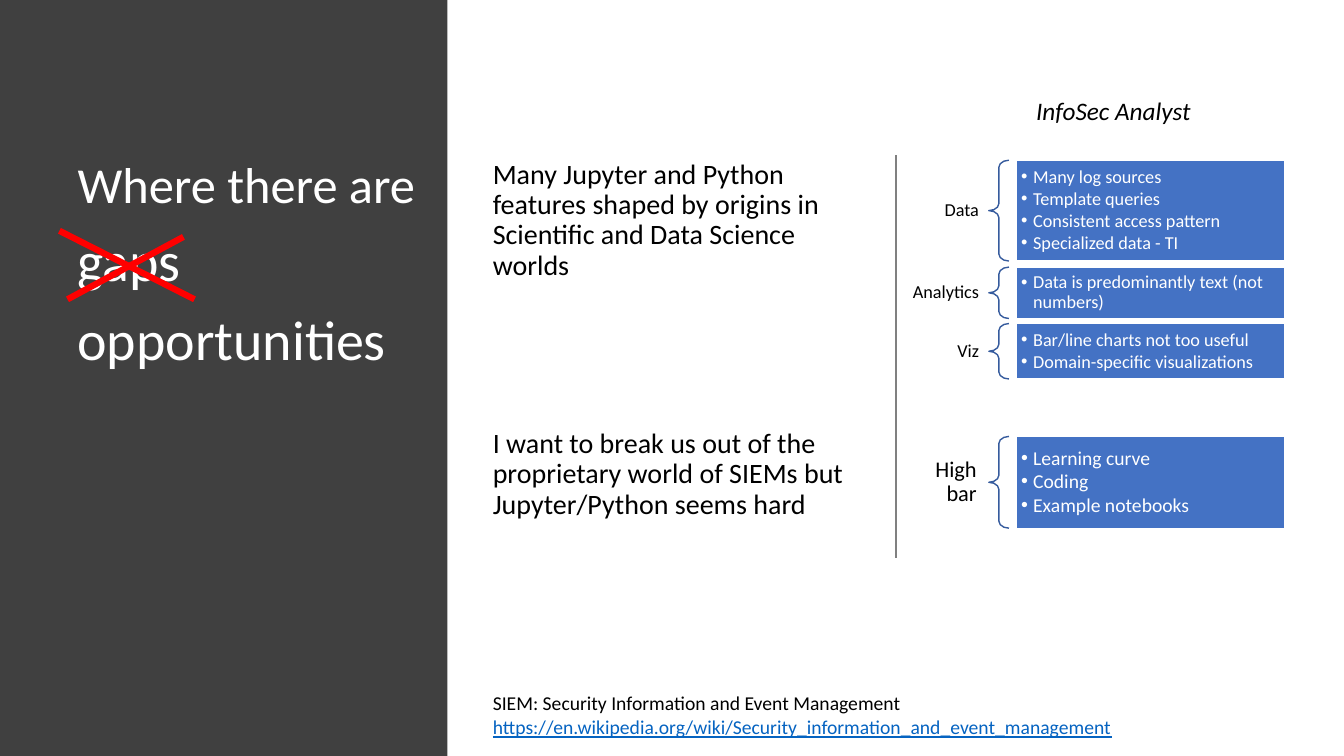
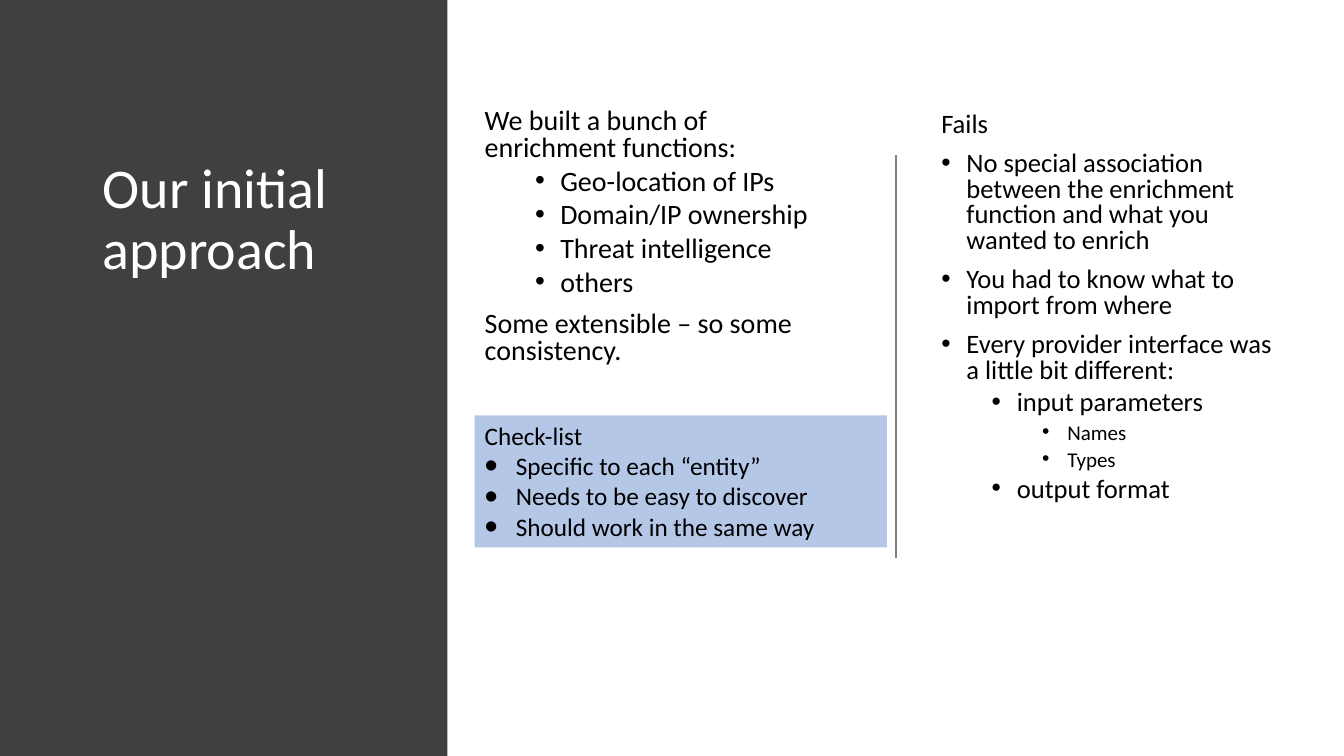
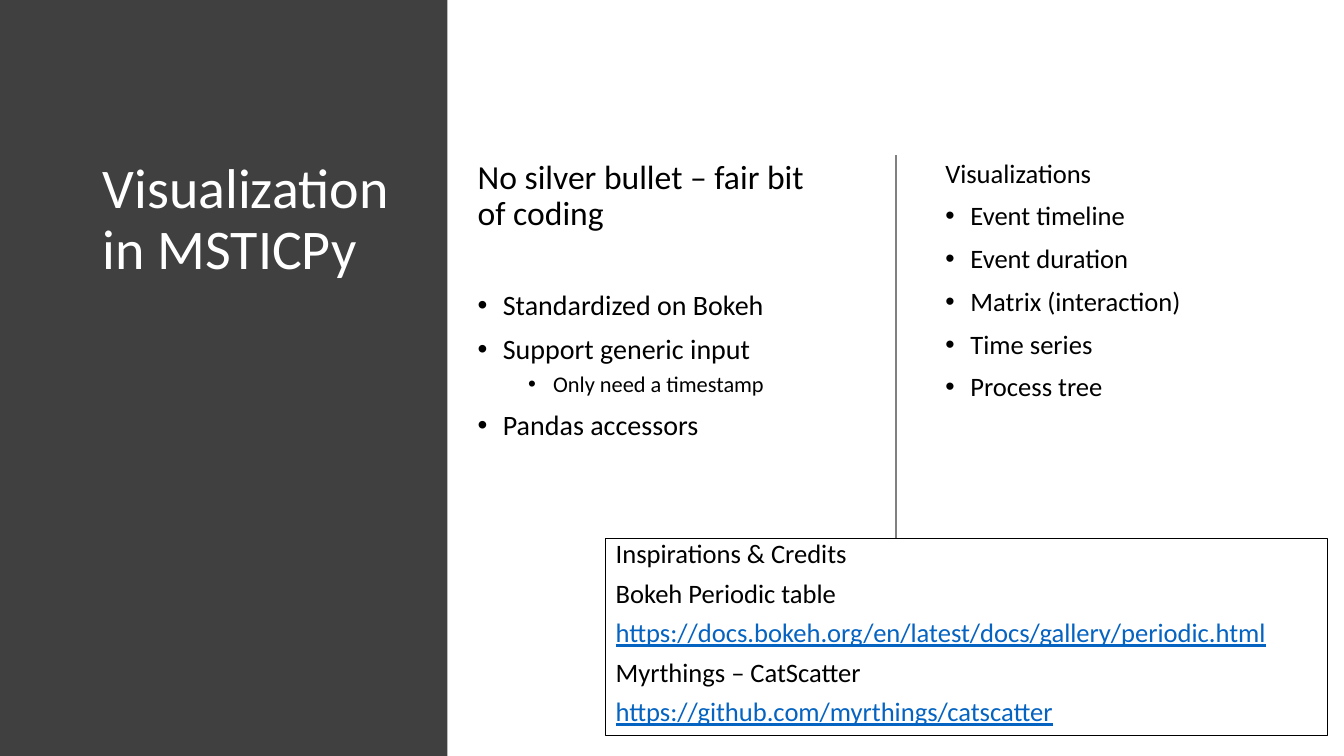
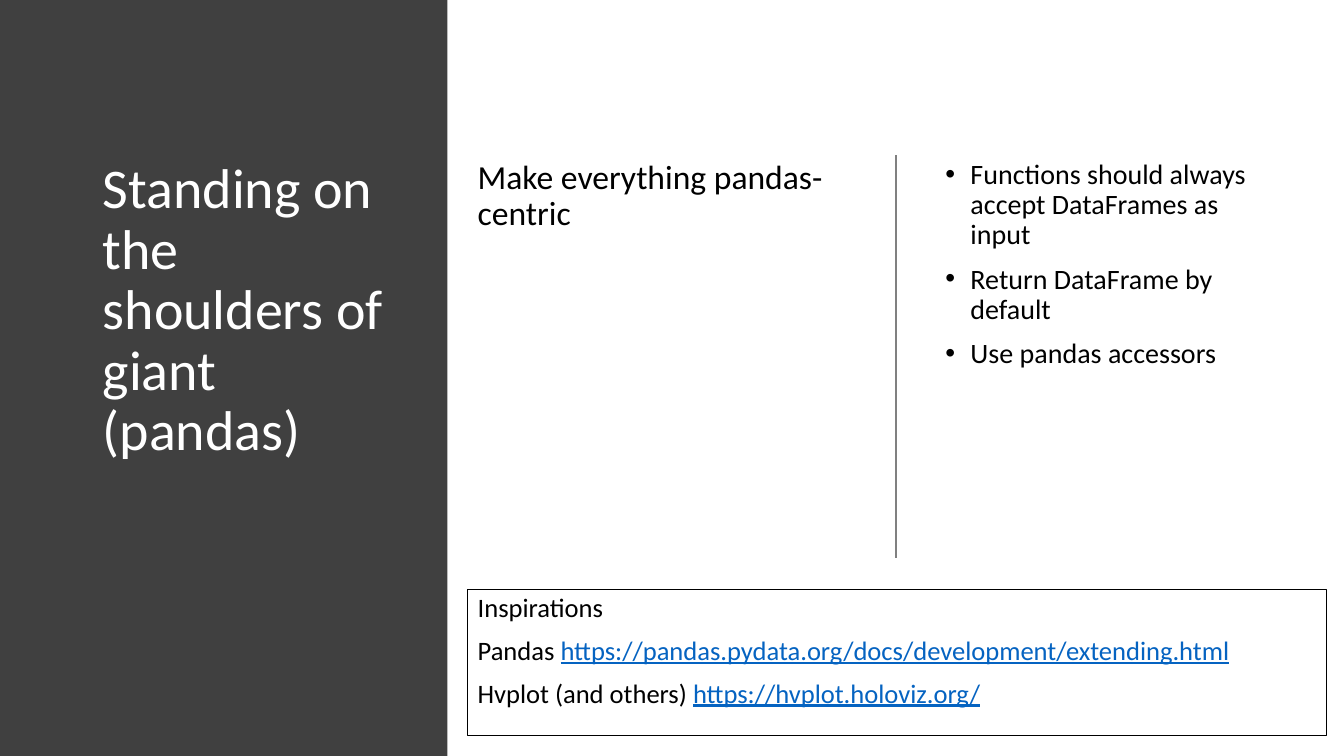
"""Build four slides on notebooks for security analysts."""
from lxml.etree import SubElement
from pptx import Presentation
from pptx.dml.color import RGBColor
from pptx.enum.shapes import MSO_CONNECTOR, MSO_SHAPE
from pptx.enum.text import MSO_ANCHOR as ANCHOR, MSO_AUTO_SIZE, PP_ALIGN as ALIGN
from pptx.oxml.ns import qn
from pptx.util import Pt

PX = 9144
FONT = "Calibri"
COLORS = {
    name: RGBColor.from_string(value)
    for name, value in {
        "panel": "404040", "white": "FFFFFF", "black": "000000", "rule": "808080",
        "cross": "FF0000", "blue": "4472C4", "brace": "365B9D", "checklist": "B4C7E7",
        "link": "0563C1",
    }.items()
}


def add_line(s, x1, y1, x2, y2, color, width):
    line = s.shapes.add_connector(MSO_CONNECTOR.STRAIGHT, *(v * PX for v in (x1, y1, x2, y2)))
    line.line.color.rgb, line.line.width = COLORS[color], Pt(width)
    SubElement(line.element.spPr, qn("a:effectLst"))


def add_text(s, box, rows, size, spacing=1, before=0, after=0, color="black", italic=None,
             fill=None, border=None, align=ALIGN.LEFT, anchor=ANCHOR.TOP,
             inset=(10, 5), hang=25, bullet_pct=100):
    """Write rows of (text, bullet level, own size, own space before)."""
    box = [v * PX for v in box]
    if fill:
        sp = s.shapes.add_shape(MSO_SHAPE.RECTANGLE, *box)
        sp.shadow.inherit = False
        sp.fill.solid()
        sp.fill.fore_color.rgb = COLORS[fill]
        if border:
            sp.line.color.rgb, sp.line.width = COLORS[border], Pt(0.75)
        else:
            sp.line.fill.background()
    else:
        sp = s.shapes.add_textbox(*box)
    tf = sp.text_frame
    across, down = (v * PX for v in inset)
    frame = {"word_wrap": True, "vertical_anchor": anchor, "margin_left": across,
             "margin_right": across, "margin_top": down, "margin_bottom": down}
    for name, value in frame.items():
        setattr(tf, name, value)
    for i, row in enumerate(rows):
        text, level, own_size, own_before = (*row, *(0, None, None)[len(row) - 1:])
        p = tf.paragraphs[0] if i == 0 else tf.add_paragraph()
        if level:
            pPr = p._p.get_or_add_pPr()
            pPr.set("marL", str((hang + 50 * (level - 1)) * PX))
            pPr.set("indent", str(-hang * PX))
            SubElement(pPr, qn("a:buSzPct"), val=str(bullet_pct * 1000))
            SubElement(pPr, qn("a:buFont"), typeface="Arial")
            SubElement(pPr, qn("a:buChar"), char="•")
        gap = own_before or (before / 2 if level > 1 else before)
        layout = {"alignment": align, "line_spacing": spacing,
                  "space_before": Pt(gap if i else 0), "space_after": Pt(after)}
        for name, value in layout.items():
            setattr(p, name, value)
        label, scheme, rest = text.partition("https://")
        for part, is_link in ((label, False), (scheme + rest, True)):
            if not part:
                continue
            r = p.add_run()
            r.text = part
            style = {"name": FONT, "size": Pt(own_size or size), "italic": italic,
                     "underline": is_link or None}
            for name, value in style.items():
                setattr(r.font, name, value)
            r.font.color.rgb = COLORS["link" if is_link else color]


prs = Presentation()
prs.slide_width, prs.slide_height = 12192000, 750 * PX

TITLES = [
    ("Where there are", (67, 154, 369, 170), 36),
    ("Our initial approach", (92, 154, 317, 477), 40),
    ("Visualization\vin MSTICPy", (92, 154, 317, 477), 40),
    ("Standing on the shoulders of giant (pandas)", (92, 154, 317, 477), 40),
]
for text, box, size in TITLES:
    s = prs.slides.add_slide(prs.slide_layouts[5])
    title = s.shapes.title
    for name, value in zip(("left", "top", "width", "height"), box):
        setattr(title, name, value * PX)
    tf = title.text_frame
    tf.text = text
    for name, value in {"vertical_anchor": ANCHOR.TOP, "word_wrap": True,
                        "auto_size": MSO_AUTO_SIZE.NONE}.items():
        setattr(tf, name, value)
    p = tf.paragraphs[0]
    p.alignment, p.line_spacing = ALIGN.LEFT, 0.9
    for r in p.runs:
        r.font.name, r.font.size = FONT, Pt(size)
        r.font.color.rgb = COLORS["white"]
    panel = s.shapes.add_shape(MSO_SHAPE.RECTANGLE, 0, 0, 444 * PX, 750 * PX)
    panel.shadow.inherit = False
    panel.fill.solid()
    panel.fill.fore_color.rgb = COLORS["panel"]
    panel.line.fill.background()
    title.element.addprevious(panel.element)
    add_line(s, 889, 154, 889, 554, "rule", 1)

gaps, approach, visualization, pandas = prs.slides

s = gaps
add_text(s, (67, 219, 133, 77), [("gaps",)], 40, color="white")
add_text(s, (67, 297, 358, 77), [("opportunities",)], 40, color="white")
add_line(s, 59, 229, 193, 297, "cross", 4.5)
add_line(s, 67, 297, 182, 235, "cross", 4.5)
add_text(s, (479, 154, 375, 382), [
    ("Many Jupyter and Python features shaped by origins in Scientific and Data Science worlds",),
    ("I want to break us out of the proprietary world of SIEMs but Jupyter/Python seems hard",
     0, 20, 106),
], 20, 0.9)
add_text(s, (1018, 90, 180, 40), [("InfoSec Analyst",)], 18, italic=True)
NEEDS = [
    ("Data", 159, 100, 13, 13, ["Many log sources", "Template queries",
                                "Consistent access pattern", "Specialized data - TI"]),
    ("Analytics", 265, 51, 13, 13, ["Data is predominantly text (not numbers)"]),
    ("Viz", 321, 55, 13, 13, ["Bar/line charts not too useful",
                              "Domain-specific visualizations"]),
    ("High bar", 433, 91, 16, 14, ["Learning curve", "Coding", "Example notebooks"]),
]
for label, top, height, label_size, size, points in NEEDS:
    add_text(s, (883, top, 98, height), [(label,)], label_size, 0.9, align=ALIGN.RIGHT,
             anchor=ANCHOR.MIDDLE, inset=(12 if label_size > 13 else 10, 4))
    brace = s.shapes.add_shape(MSO_SHAPE.LEFT_BRACE, *(v * PX for v in (981, top, 20, height)))
    brace.shadow.inherit = False
    brace.fill.background()
    brace.line.color.rgb, brace.line.width = COLORS["brace"], Pt(1)
    brace.adjustments[0] = 0.35
    add_text(s, (1008, top, 266, height), [(point, 1) for point in points], size, 0.9, after=1.7,
             color="white", fill="blue", border="white", anchor=ANCHOR.MIDDLE,
             inset=(5, 5), hang=12)
add_text(s, (479, 681, 645, 81), [
    ("SIEM: Security Information and Event Management",),
    ("https://en.wikipedia.org/wiki/Security_information_and_event_management",),
], 14)

s = approach
add_text(s, (471, 103, 375, 291), [
    ("We built a bunch of enrichment functions:",),
    ("Geo-location of IPs", 2),
    ("Domain/IP ownership", 2),
    ("Threat intelligence", 2),
    ("others", 2),
    ("Some extensible – so some consistency.",),
], 20, 0.8, 10)
add_text(s, (471, 412, 409, 131), [
    ("Check-list",),
    ("Specific to each “entity”", 1),
    ("Needs to be easy to discover", 1),
    ("Should work in the same way", 1),
], 18, fill="checklist", hang=31, bullet_pct=150)
add_text(s, (924, 107, 350, 524), [
    ("Fails",),
    ("No special association between the enrichment function and what you wanted to enrich", 1),
    ("You had to know what to import from where", 1),
    ("Every provider interface was a little bit different:", 1),
    ("input parameters", 2),
    ("Names", 3, 15),
    ("Types", 3, 15),
    ("output format", 2),
], 19, 0.8, 10)

s = visualization
add_text(s, (464, 154, 375, 400), [
    ("No silver bullet – fair bit of coding", 0, 24),
    ("Standardized on Bokeh", 1, 20, 42),
    ("Support generic input", 1),
    ("Only need a timestamp", 2, 16),
    ("Pandas accessors", 1),
], 20, 0.9, 10)
add_text(s, (928, 154, 350, 273), [
    ("Visualizations",),
    ("Event timeline", 1),
    ("Event duration", 1),
    ("Matrix (interaction)", 1),
    ("Time series", 1),
    ("Process tree", 1),
], 19, 0.9, 10)
add_text(s, (601, 534, 716, 196), [
    ("Inspirations & Credits",),
    ("Bokeh Periodic table",),
    ("https://docs.bokeh.org/en/latest/docs/gallery/periodic.html",),
    ("Myrthings – CatScatter",),
    ("https://github.com/myrthings/catscatter",),
], 19, 0.8, 10, fill="white", border="black")

s = pandas
add_text(s, (464, 154, 375, 400), [("Make everything pandas-centric",)], 24, 0.9)
add_text(s, (928, 154, 350, 273), [
    ("Functions should always accept DataFrames as input", 1),
    ("Return DataFrame by default", 1),
    ("Use pandas accessors", 1),
], 20, 0.9, 10)
add_text(s, (464, 585, 852, 145), [
    ("Inspirations",),
    ("Pandas https://pandas.pydata.org/docs/development/extending.html",),
    ("Hvplot (and others) https://hvplot.holoviz.org/",),
], 19, 0.9, 10, fill="white", border="black")

prs.save("out.pptx")
